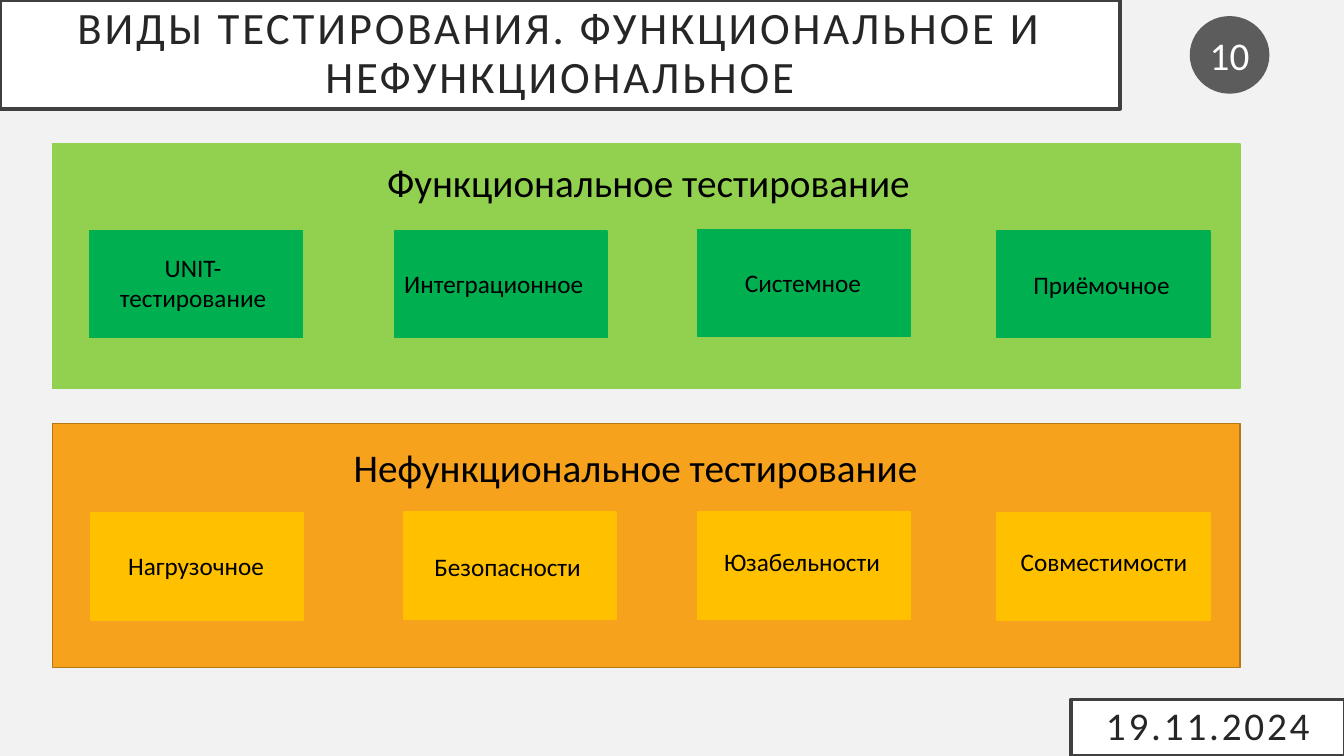
"""Builds a slide on functional and non-functional kinds of testing."""
import pptx
import pptx.util
import pptx.dml.color
import pptx.enum.shapes
import pptx.enum.text
import pptx.oxml.ns
from lxml import etree

Inches = pptx.util.Inches
Pt = pptx.util.Pt
RGBColor = pptx.dml.color.RGBColor
SHAPE = pptx.enum.shapes.MSO_SHAPE
ALIGN = pptx.enum.text.PP_ALIGN
ANCHOR = pptx.enum.text.MSO_ANCHOR

FONT = "Calibri"
BACKGROUND = RGBColor(0xF2, 0xF2, 0xF2)
WHITE = RGBColor(0xFF, 0xFF, 0xFF)
BLACK = RGBColor(0, 0, 0)
INK = RGBColor(0x26, 0x26, 0x26)
FRAME = RGBColor(0x40, 0x40, 0x40)
BADGE = RGBColor(0x1D, 0x1D, 0x1D)
LIME = RGBColor(0x92, 0xD0, 0x50)
GREEN = RGBColor(0x00, 0xB0, 0x50)
ORANGE = RGBColor(0xF6, 0xA2, 0x1D)
BROWN = RGBColor(0xB6, 0x78, 0x15)
YELLOW = RGBColor(0xFF, 0xC0, 0x00)

CARD_WIDTH, CARD_HEIGHT = 2.11, 1.06

FUNCTIONAL = [
    ((0.89, 2.29), "UNIT-тестирование", (1.06, 2.45, 1.71, 0.71), ALIGN.CENTER),
    ((3.91, 2.29), "Интеграционное", (3.91, 2.61, 2.11, 0.4), ALIGN.LEFT),
    ((6.92, 2.28), "Системное", (7.29, 2.6, 1.92, 0.4), ALIGN.LEFT),
    ((9.89, 2.29), "Приёмочное", (10.15, 2.62, 1.99, 0.4), ALIGN.LEFT),
]
NON_FUNCTIONAL = [
    ((0.9, 5.09), "Нагрузочное", (1.09, 5.41, 1.71, 0.4), ALIGN.CENTER),
    ((4, 5.08), "Безопасности", (4.18, 5.42, 1.71, 0.4), ALIGN.CENTER),
    ((6.92, 5.08), "Юзабельности", (7.01, 5.37, 1.89, 0.4), ALIGN.CENTER),
    ((9.89, 5.09), "Совместимости", (9.99, 5.37, 1.92, 0.4), ALIGN.CENTER),
]


def add_box(s, at, fill, line=None, width=1, kind=SHAPE.RECTANGLE):
    """Add a filled shape with an optional outline."""
    sp = s.shapes.add_shape(kind, *map(Inches, at))
    sp.shadow.inherit = False
    sp.fill.solid()
    sp.fill.fore_color.rgb = fill
    if line is None:
        sp.line.fill.background()
    else:
        sp.line.color.rgb = line
        sp.line.width = Pt(width)
    return sp


def write(sp, text, size, color, align):
    """Write one run of text into a shape and return its paragraph and run."""
    tf = sp.text_frame
    tf.word_wrap = True
    p = tf.paragraphs[0]
    p.alignment = align
    r = p.add_run()
    r.text = text
    r.font.name = FONT
    r.font.size = Pt(size)
    r.font.color.rgb = color
    return p, r


def add_label(s, at, text, size, align):
    """Add a plain text box."""
    sp = s.shapes.add_textbox(*map(Inches, at))
    write(sp, text, size, BLACK, align)


def add_framed_text(s, at, text, size):
    """Add a white framed box with letter-spaced text."""
    sp = add_box(s, at, WHITE, FRAME, 2.5)
    tf = sp.text_frame
    tf.vertical_anchor = ANCHOR.MIDDLE
    tf.margin_left = tf.margin_right = Inches(0.2)
    tf.margin_top = tf.margin_bottom = Inches(0.2)
    p, r = write(sp, text, size, INK, ALIGN.CENTER)
    p.line_spacing = 0.9
    r.font._element.set("spc", "200")


def add_number_badge(s, at, text):
    """Add the translucent circle with the slide number."""
    sp = add_box(s, at, BADGE, kind=SHAPE.OVAL)
    color = sp.fill._xPr.find(".//" + pptx.oxml.ns.qn("a:srgbClr"))
    etree.SubElement(color, pptx.oxml.ns.qn("a:alpha"), val="70000")
    tf = sp.text_frame
    tf.vertical_anchor = ANCHOR.MIDDLE
    tf.margin_left = tf.margin_right = Inches(0.02)
    write(sp, text, 28, WHITE, ALIGN.CENTER)


def add_group(s, top, fill, line, heading, heading_at, card_color, cards):
    """Add a panel with its heading and its row of cards."""
    add_box(s, (0.52, top, 11.78, 2.42), fill, line)
    add_label(s, (*heading_at, 7.21, 0.57), heading, 28, ALIGN.LEFT)
    for corner, text, text_at, align in cards:
        add_box(s, (*corner, CARD_WIDTH, CARD_HEIGHT), card_color, card_color)
        add_label(s, text_at, text, 18, align)


def main():
    """Build and save the slide."""
    prs = pptx.Presentation()
    prs.slide_width, prs.slide_height = Inches(13.33), Inches(7.5)
    s = prs.slides.add_slide(prs.slide_layouts[6])
    s.background.fill.solid()
    s.background.fill.fore_color.rgb = BACKGROUND
    add_framed_text(s, (0, 0, 11.11, 1.08),
                    "ВИДЫ ТЕСТИРОВАНИЯ. ФУНКЦИОНАЛЬНОЕ И НЕФУНКЦИОНАЛЬНОЕ", 32)
    add_number_badge(s, (11.8, 0.16, 0.79, 0.77), "10")
    add_framed_text(s, (10.62, 6.94, 2.72, 0.56), "19.11.2024", 28)
    add_group(s, 1.43, LIME, LIME, "Функциональное тестирование",
              (3.74, 1.52), GREEN, FUNCTIONAL)
    add_group(s, 4.2, ORANGE, BROWN, "Нефункциональное тестирование",
              (3.41, 4.35), YELLOW, NON_FUNCTIONAL)
    prs.save("out.pptx")


if __name__ == "__main__":
    main()
